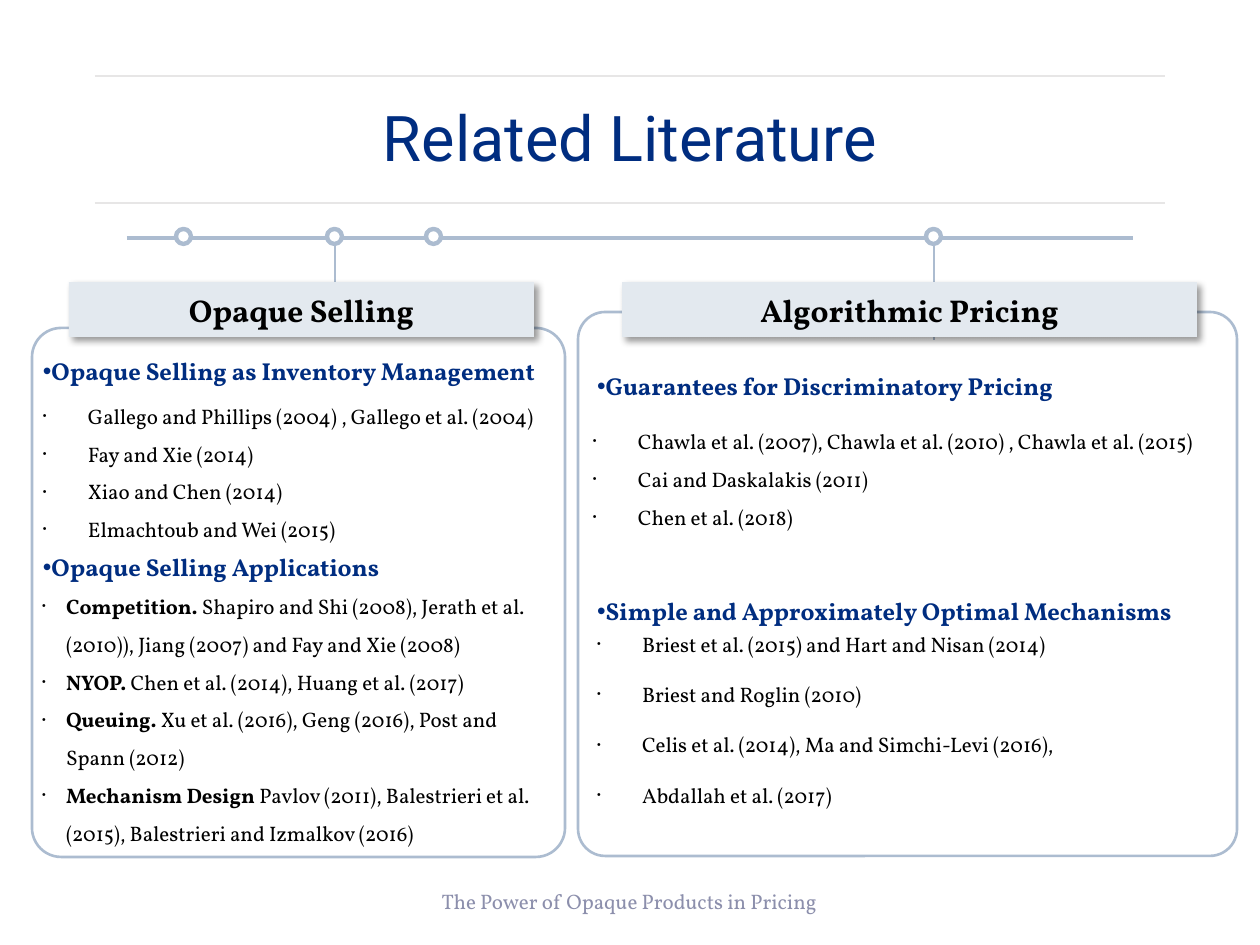
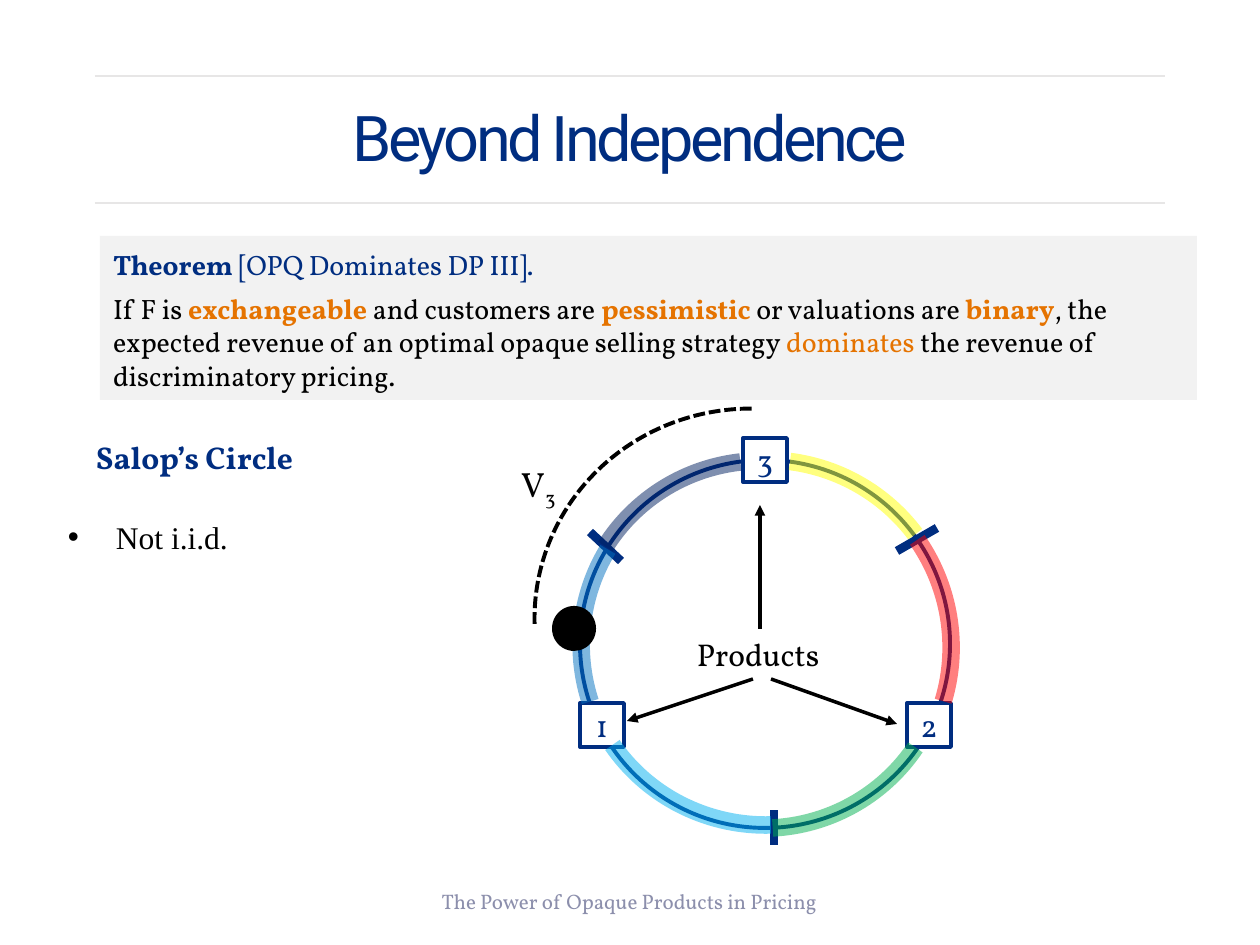
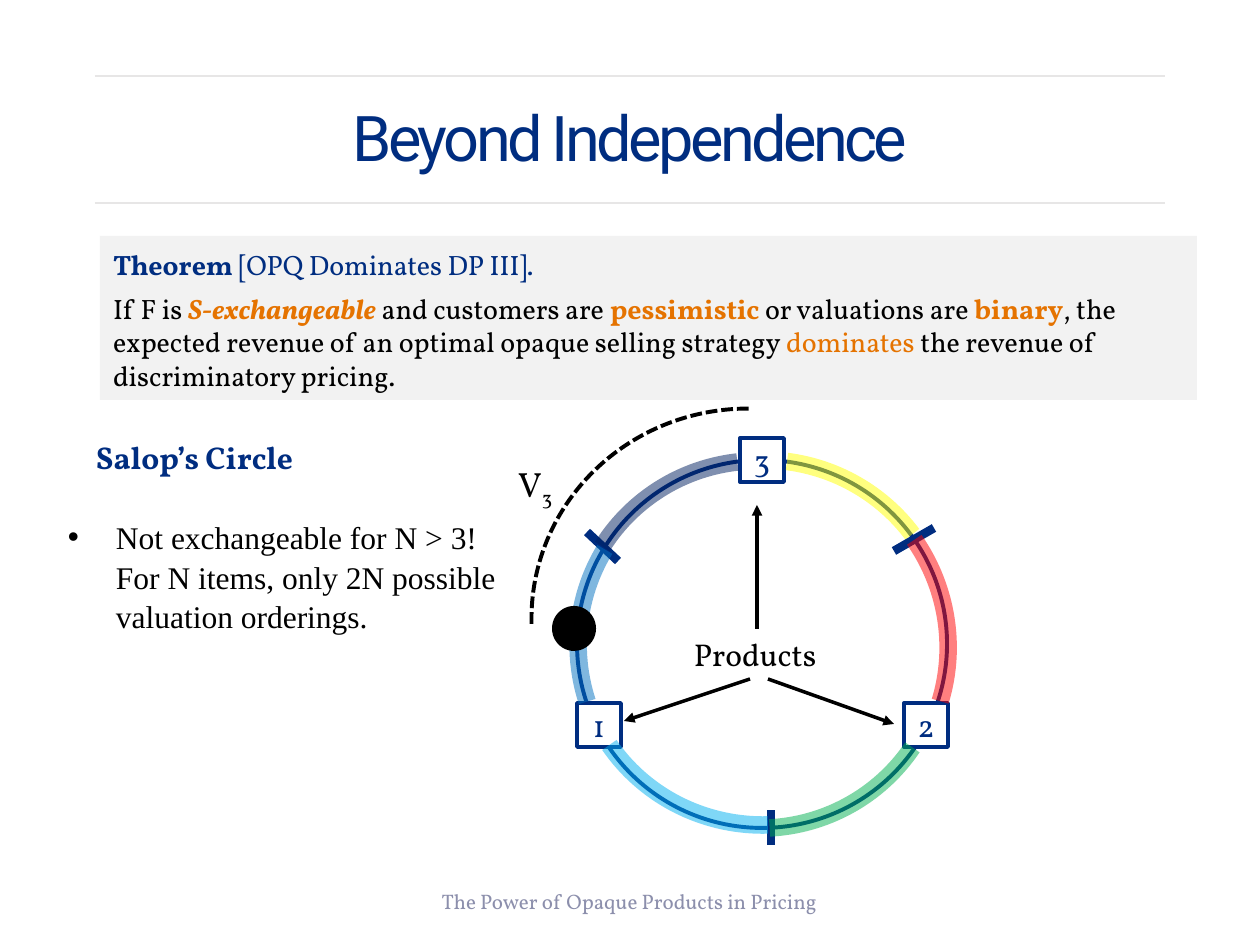
from lxml import etree
from pptx import Presentation
from pptx.dml.color import RGBColor
from pptx.enum.dml import MSO_LINE
from pptx.enum.shapes import MSO_CONNECTOR, MSO_SHAPE
from pptx.enum.text import MSO_ANCHOR, PP_ALIGN
from pptx.oxml.ns import qn
from pptx.util import Pt

STRAIGHT = MSO_CONNECTOR.STRAIGHT
RECT, ROUND = MSO_SHAPE.RECTANGLE, MSO_SHAPE.ROUNDED_RECTANGLE
OVAL, ARC = MSO_SHAPE.OVAL, MSO_SHAPE.ARC
DASH = MSO_LINE.SQUARE_DOT
TOP, MIDDLE = MSO_ANCHOR.TOP, MSO_ANCHOR.MIDDLE
CENTER = PP_ALIGN.CENTER

SCALE = 914400 / 126
NAVY, ORANGE, BLACK, WHITE = "002D80", "E57300", "000000", "FFFFFF"
STEEL, PALE, RULE, GREY, MUTED = "ACBCD0", "E3E9EF", "E7E6E6", "F2F2F2", "8C8FAC"
FACE = "Vollkorn"
PAD = (13, 6, 13, 6)

TITLE = {"name": "Roboto", "size": 36, "color": NAVY}
TIGHT = {**TITLE, "spc": -200}
FOOT = {"size": 12, "color": MUTED}
LABEL = {"size": 18, "color": BLACK}
DIGIT = {"size": 18, "color": NAVY}
HEAD = {"size": 18, "color": BLACK, "bold": True}
TOPIC = {"size": 14, "color": NAVY, "bold": True}
CITE = {"size": 12, "color": BLACK}
BOLD = {"bold": True}
KEY = {"color": ORANGE, "bold": True}
DARK = {"color": BLACK}

# colour, box relative to the circle, rotation, start and end in degrees
ARCS = [
    ("FFFF00", (0, 0, 372, 368), 0, 277.5, 323.7),
    ("00B050", (-2, -1, 368, 370), 121.3, 272.7, 325.4),
    ("00B0F0", (0, -3, 372, 368), 175.8, 272.7, 330.1),
    ("0070C0", (2, -1, 368, 370), 250.4, 271.5, 320.5),
    ("002060", (-2, 0, 368, 370), 300.7, 271.5, 322.6),
    ("FF0000", (2, 2, 372, 364), 57.9, 267.2, 320.2),
]
TICKS = [(357, 68, 317, 91), (194, 385, 194, 350), (41, 101, 10, 72)]
ARROWS = [(180, 169, 180, 45), (173, 219, 47, 261), (191, 219, 317, 264)]
ITEMS = [("1", 0, 243), ("2", 327, 243), ("3", 163, -22)]


def px(*nums):
    return [round(n * SCALE) for n in nums]


def rgb(code):
    return RGBColor.from_string(code)


def add(node, tag, **attrs):
    return etree.SubElement(node, qn(tag), {k: str(v) for k, v in attrs.items()})


def move(box, x, y):
    return (box[0] + x, box[1] + y, *box[2:])


def stroke(line, color, width):
    line.color.rgb = rgb(color)
    line.width = Pt(width)


def link(slide, ends, color, width, arrow=False):
    line = slide.shapes.add_connector(STRAIGHT, *px(*ends))
    stroke(line.line, color, width)
    add(line._element.spPr, "a:effectLst")
    if arrow:
        add(line.line._get_or_add_ln(), "a:tailEnd", type="triangle")


def draw(slide, kind, box, fill=None, line=None, width=1):
    shape = slide.shapes.add_shape(kind, *px(*box))
    shape.shadow.inherit = False
    if fill:
        shape.fill.solid()
        shape.fill.fore_color.rgb = rgb(fill)
    else:
        shape.fill.background()
    if line:
        stroke(shape.line, line, width)
    else:
        shape.line.fill.background()
    return shape


def bend(slide, box, turn, start, end, color, width):
    arc = draw(slide, ARC, box, None, color, width)
    arc.rotation = turn
    # arc adjustments count 60000ths of a degree in units of 100000
    arc.adjustments[0], arc.adjustments[1] = start * 0.6, end * 0.6
    return arc


def style(run, form):
    form = {"name": FACE, "bold": False, **form}
    for key, value in form.items():
        if key == "color":
            run.font.color.rgb = rgb(value)
        elif key in ("spc", "baseline"):
            run._r.get_or_add_rPr().set(key, str(value))
        else:
            setattr(run.font, key, Pt(value) if key == "size" else value)


def para(runs, form, bullet=None, tab=None, **look):
    """Describe a paragraph; bullet is (indent px, size percent)."""
    if isinstance(runs, str):
        runs = [(runs, {})]
    return [(text, {**form, **more}) for text, more in runs], bullet, tab, look


def write(shape, paras, pad=PAD, anchor=MIDDLE, wrap=True):
    frame = shape.text_frame
    sides = ("margin_left", "margin_top", "margin_right", "margin_bottom")
    for side, size in zip(sides, px(*pad)):
        setattr(frame, side, size)
    frame.word_wrap, frame.vertical_anchor = wrap, anchor
    for i, (runs, bullet, tab, look) in enumerate(paras):
        line = frame.add_paragraph() if i else frame.paragraphs[0]
        props = line._p.get_or_add_pPr()
        if bullet:
            room, = px(bullet[0])
            props.set("marL", str(room))
            props.set("indent", str(-room))
            add(props, "a:buSzPct", val=bullet[1] * 1000)
            add(props, "a:buFont", typeface="Arial")
            add(props, "a:buChar", char="•")
        if tab:
            add(add(props, "a:tabLst"), "a:tab", pos=px(tab)[0], algn="l")
        for key, value in look.items():
            setattr(line, key, Pt(value) if key.startswith("space") else value)
        for text, form in runs:
            run = line.add_run()
            run.text = text
            style(run, form)


def text(slide, box, paras, **frame):
    write(slide.shapes.add_textbox(*px(*box)), paras, **frame)


def page(deck, title, form):
    slide = deck.slides.add_slide(deck.slide_layouts[6])
    for y in (76, 203):
        link(slide, (95, y, 1165, y), RULE, 1)
    text(slide, (87, 50, 1086, 183),
         [para(title, form, alignment=CENTER, line_spacing=0.9)])
    text(slide, (370, 876, 519, 50),
         [para("The Power of Opaque Products in Pricing", FOOT, alignment=CENTER)])
    return slide


def topic(words, before=0):
    return para(words, TOPIC, (0, 100), 13, space_before=before, space_after=3)


def cites(rows, room=45, **look):
    return [para(row, CITE, (room, 50), **look) for row in rows]


def shade(shape):
    effects = shape._element.spPr.find(qn("a:effectLst"))
    cast = add(effects, "a:outerShdw", blurRad=Pt(4), dist=Pt(3),
               dir=45 * 60000, algn="tl", rotWithShape=0)
    add(add(cast, "a:srgbClr", val=BLACK), "a:alpha", val=40000)


def panel(slide, box, round_by, head, title, stem):
    link(slide, stem, STEEL, 1)
    draw(slide, ROUND, box, None, STEEL, 1.5).adjustments[0] = round_by
    bar = draw(slide, RECT, head, PALE)
    shade(bar)
    write(bar, [para(title, HEAD, alignment=CENTER, line_spacing=0.9)],
          (13, 19, 13, 13))


def selling(slide, box):
    panel(slide, box, 0.055, (69, 282, 465, 55), "Opaque Selling",
          (335, 242, 335, 312))
    x, y = box[:2]
    rows = ["Gallego and Phillips (2004) , Gallego et al. (2004)",
            "Fay and Xie (2014)", "Xiao and Chen (2014)",
            "Elmachtoub and Wei (2015)"]
    text(slide, (x - 8, y + 3, 554, 290),
         [topic("Opaque Selling as Inventory Management"),
          *cites(rows, line_spacing=1.5),
          topic("Opaque Selling Applications", 6)],
         pad=(19, 25, 13, 25), anchor=TOP)
    uses = [
        ("Competition.", " Shapiro and Shi (2008), Jerath et al. (2010)), "
         "Jiang (2007) and Fay and Xie (2008)"),
        ("NYOP.", " Chen et al. (2014), Huang et al. (2017)"),
        ("Queuing.", " Xu et al. (2016), Geng (2016), Post and Spann (2012)"),
        ("Mechanism Design ", "Pavlov (2011), Balestrieri et al. (2015), "
         "Balestrieri and Izmalkov (2016)"),
    ]
    text(slide, (x - 3, y + 247, 537, 280),
         cites([[(name, BOLD), (rest, {})] for name, rest in uses], 24,
               line_spacing=1.5), anchor=TOP)


def pricing(slide, box):
    panel(slide, box, 0.05, (622, 282, 575, 55), "Algorithmic Pricing",
          (934, 238, 934, 340))
    x, y = box[:2]
    first, *rest = ["Briest et al. (2015) and Hart and Nisan (2014)",
                    "Briest and Roglin (2010)",
                    "Celis et al. (2014), Ma and Simchi-Levi (2016),",
                    "Abdallah et al. (2017)"]
    text(slide, (x, y + 34, 659, 530),
         [topic("Guarantees for Discriminatory Pricing"),
          topic("Simple and Approximately Optimal Mechanisms", 109),
          *cites([first]), *cites(rest, space_before=14.4)],
         pad=(19, 25, 13, 13), anchor=TOP)
    rows = ["Chawla et al. (2007), Chawla et al. (2010) , Chawla et al. (2015)",
            "Cai and Daskalakis (2011)", "Chen et al. (2018)"]
    text(slide, (x + 2, y + 98, 658, 165), cites(rows, line_spacing=1.5),
         anchor=TOP)


def timeline(slide, x, y, width):
    link(slide, (x, y, x + width, y), STEEL, 2.25)
    for dot in (49, 200, 299, 799):
        draw(slide, OVAL, (x + dot, y - 9, 15, 15), WHITE, STEEL, 2.5)


def band(slide, arc, x, y):
    color, box, *turn = arc
    shape = bend(slide, move(box, x, y), *turn, color, 10)
    paint = shape.line._get_or_add_ln().find(".//" + qn("a:srgbClr"))
    add(paint, "a:alpha", val=50000)


def circle(slide, x, y):
    """Draw Salop's circle with its top left corner at x, y."""
    def lines(rows, *form):
        for a, b, c, d in rows:
            link(slide, (a + x, b + y, c + x, d + y), *form)

    bend(slide, (x - 39, y - 58, 420, 433), 270, 268.6, 0.9,
         BLACK, 2.25).line.dash_style = DASH
    text(slide, (x - 72, y - 4, 63, 55),
         [para([("V", {}), ("3", {"baseline": -25000})], {**LABEL, "size": 20})],
         anchor=TOP, wrap=False)
    text(slide, (x + 104, y + 169, 151, 50), [para("Products", LABEL)],
         anchor=TOP, wrap=False)
    lines(ARROWS, BLACK, 2, True)
    draw(slide, OVAL, (x, y, 370, 368), None, NAVY, 2.25)
    for name, left, top in ITEMS:
        item = draw(slide, RECT, (x + left, y + top, 44, 44), WHITE, NAVY, 2.25)
        write(item, [para(name, DIGIT, alignment=CENTER)])
    band(slide, ARCS[0], x, y)
    lines(TICKS, NAVY, 5)
    for arc in ARCS[1:]:
        band(slide, arc, x, y)


def theorem(slide, x, y, term):
    draw(slide, RECT, (x, y, 1097, 164), GREY)
    form = {"size": 16, "color": NAVY}
    claim = [("If F is ", DARK), term, ("and customers are ", DARK),
             ("pessimistic ", KEY), ("or valuations are ", DARK),
             ("binary", KEY),
             (", the expected revenue of an optimal opaque selling strategy ", DARK),
             ("dominates ", {"color": ORANGE}),
             ("the revenue of discriminatory pricing.", DARK)]
    text(slide, (x, y + 2, 1102, 173),
         [para([("Theorem ", BOLD), ("[OPQ Dominates DP III].", {})], form,
               line_spacing=1.1),
          para(claim, form, space_before=6)], anchor=TOP)


def literature(deck):
    slide = page(deck, "Related Literature", TITLE)
    selling(slide, (32, 328, 533, 529))
    pricing(slide, (578, 312, 659, 544))
    timeline(slide, 127, 238, 1006)


def beyond(deck, left, term, note):
    slide = page(deck, "Beyond Independence", TIGHT)
    circle(slide, left, 460)
    draw(slide, OVAL, (552, 606, 44, 45), BLACK)
    text(slide, (83, 428, 1102, 369),
         [para("Salop’s Circle", {**DIGIT, **BOLD}, line_spacing=1.1)], anchor=TOP)
    text(slide, (55, 510, 455, 165),
         [para(note, {**LABEL, "name": "Times New Roman"}, (48, 100),
               line_spacing=1.05)], anchor=TOP)
    theorem(slide, 100, 236, term)


def main():
    deck = Presentation()
    deck.slide_width, deck.slide_height = px(1260, 945)
    literature(deck)
    beyond(deck, 580, ("exchangeable ", KEY), "Not i.i.d.")
    beyond(deck, 577, ("S-exchangeable ", {**KEY, "italic": True}),
           "Not exchangeable for N > 3! For N items, only 2N possible "
           "valuation orderings.")
    deck.save("out.pptx")


if __name__ == "__main__":
    main()
